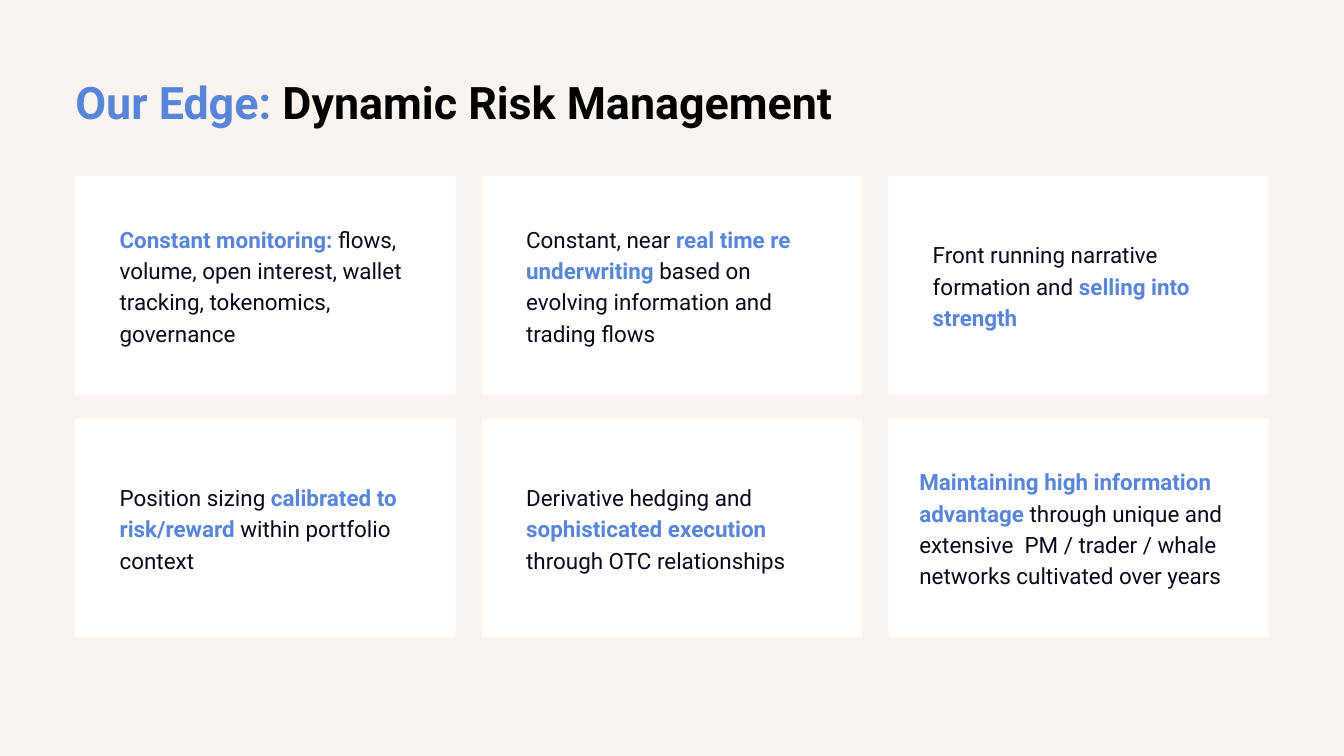
"""Builds a slide with a two-tone title and a 3 by 2 grid of text cards."""
from pptx import Presentation
from pptx.dml.color import RGBColor
from pptx.enum.shapes import MSO_SHAPE as SHAPE
from pptx.enum.text import MSO_ANCHOR as ANCHOR, MSO_AUTO_SIZE as AUTO, PP_ALIGN as ALIGN
from pptx.util import Inches, Pt

BEIGE = RGBColor(0xF9, 0xF4, 0xF0)
WHITE = RGBColor(0xFF, 0xFF, 0xFF)
BLUE = RGBColor(0x58, 0x85, 0xD8)
INK = RGBColor(0x0B, 0x08, 0x1D)
BLACK = RGBColor(0x00, 0x00, 0x00)

LEFT, TOP = 1.12, 2.62
CARD_W, CARD_H = 5.66, 3.25
COL_STEP, ROW_STEP = 6.05, 3.61
PAD, LAST_PAD = 0.66, 0.46
LINE_H, TEXT_RISE = 0.46, 0.03

TITLE = "*Our Edge:* Dynamic Risk Management"
CARDS = [
    [("*Constant monitoring: *flows, volume, open interest, wallet tracking, tokenomics, governance", 4, PAD),
     ("Constant, near* real time re underwriting* based on evolving information and trading flows", 4, PAD),
     ("Front running narrative formation and *selling into strength*", 3, PAD)],
    [("Position sizing *calibrated to risk/reward* within portfolio context", 3, PAD),
     ("Derivative hedging and *sophisticated execution *through OTC relationships", 3, PAD),
     ("*Maintaining high information advantage *through unique and extensive  PM / trader / whale "
      "networks cultivated over years", 4, LAST_PAD)],
]


def write(tf, text, size=24, color=INK, bold=False, font="Roboto", leading=1.4):
    """Fill a text frame, with the parts between asterisks in bold blue."""
    tf.word_wrap = True
    tf.auto_size = AUTO.NONE
    tf.vertical_anchor = ANCHOR.TOP
    tf.margin_left = tf.margin_right = tf.margin_top = tf.margin_bottom = 0
    p = tf.paragraphs[0]
    p.alignment = ALIGN.LEFT
    p.line_spacing = Pt(size * leading)
    p.space_before = Pt(0)
    for i, part in enumerate(text.split("*")):
        if part:
            accent = i % 2 == 1
            r = p.add_run()
            r.text = part
            r.font.name = font
            r.font.size = Pt(size)
            r.font.bold = bold or accent
            r.font.color.rgb = BLUE if accent else color


class Deck:
    """Holds the style and the current slide."""

    def __init__(self, width=20, height=11.25):
        """Start a presentation with one title-only slide."""
        self.prs = Presentation()
        self.prs.slide_width, self.prs.slide_height = Inches(width), Inches(height)
        self.s = self.prs.slides.add_slide(self.prs.slide_layouts[5])
        self.s.background.fill.solid()
        self.s.background.fill.fore_color.rgb = BEIGE

    def title(self, text):
        """Place and format the title placeholder."""
        sp = self.s.shapes.title
        sp.left, sp.top = Inches(LEFT), Inches(0.98)
        sp.width, sp.height = Inches(11.56), Inches(0.94)
        write(sp.text_frame, text, size=48, color=BLACK, bold=True)

    def card(self, col, row):
        """Draw a white card in a grid cell."""
        sp = self.s.shapes.add_shape(
            SHAPE.RECTANGLE, Inches(LEFT + col * COL_STEP), Inches(TOP + row * ROW_STEP),
            Inches(CARD_W), Inches(CARD_H))
        sp.shadow.inherit = False
        sp.fill.solid()
        sp.fill.fore_color.rgb = WHITE
        sp.line.fill.background()

    def body(self, col, row, text, lines, pad):
        """Write text centred vertically in a grid cell."""
        height = lines * LINE_H
        top = TOP + row * ROW_STEP + (CARD_H - height) / 2 - TEXT_RISE
        sp = self.s.shapes.add_textbox(
            Inches(LEFT + col * COL_STEP + pad), Inches(top),
            Inches(CARD_W - 2 * pad), Inches(height))
        write(sp.text_frame, text)


def main():
    """Build and save the slide."""
    deck = Deck()
    deck.title(TITLE)
    for row, cards in enumerate(CARDS):
        for col, (text, lines, pad) in enumerate(cards):
            deck.card(col, row)
            deck.body(col, row, text, lines, pad)
    deck.prs.save("out.pptx")


if __name__ == "__main__":
    main()
